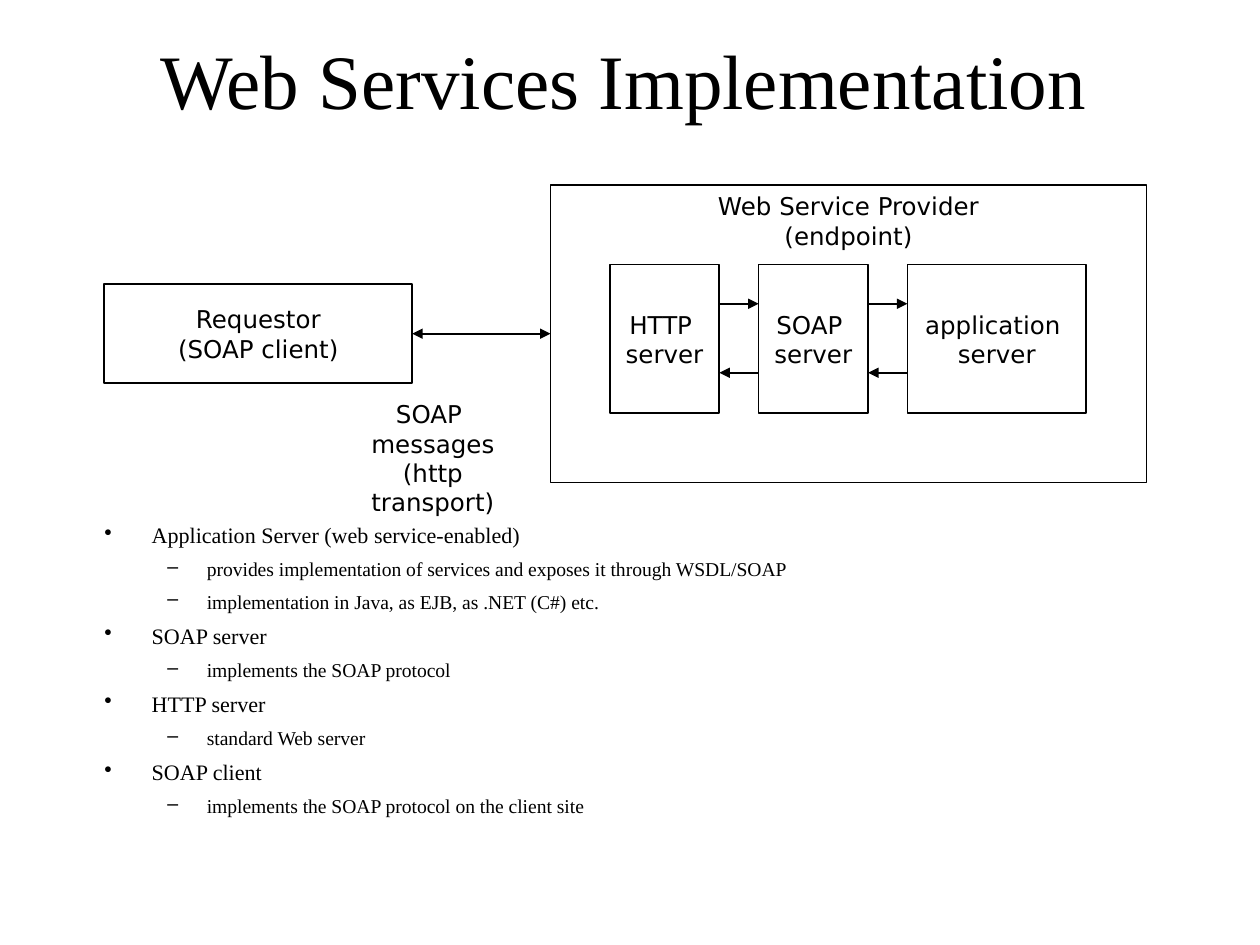
from dataclasses import dataclass

from lxml import etree
from pptx import Presentation
from pptx.dml.color import RGBColor
from pptx.enum.shapes import MSO_CONNECTOR, MSO_SHAPE
from pptx.enum.text import MSO_ANCHOR, MSO_AUTO_SIZE, PP_ALIGN
from pptx.oxml.ns import qn
from pptx.util import Pt

RECTANGLE = MSO_SHAPE.RECTANGLE
STRAIGHT = MSO_CONNECTOR.STRAIGHT
TOP, MIDDLE = MSO_ANCHOR.TOP, MSO_ANCHOR.MIDDLE
LEFT, CENTER = PP_ALIGN.LEFT, PP_ALIGN.CENTER
NO_AUTOFIT = MSO_AUTO_SIZE.NONE
LEFT_SIDE, RIGHT_SIDE = 1, 3

COLORS = {"ink": "000000"}
SERIF, SANS = "Times New Roman", "DejaVu Sans"
TITLE_FONT = {"name": SERIF, "size": Pt(44)}
LABEL_FONT = {"name": SANS, "size": Pt(14)}


@dataclass(frozen=True)
class Block:
    lines: tuple[str, ...]
    left: float
    top: float
    width: float
    height: float
    anchor: int = MIDDLE


@dataclass(frozen=True)
class BulletLevel:
    mark: str
    margin: float
    hanging: float
    size: float


BULLET_LEVELS = (
    BulletLevel("•", 27, 27, 12.6),
    BulletLevel("–", 58.5, 22.5, 11.2),
)
BULLET_SPACING = 5.2
BULLETS = (
    (0, "Application Server (web service-enabled)"),
    (1, "provides implementation of services and exposes it through WSDL/SOAP"),
    (1, "implementation in Java, as EJB, as .NET (C#) etc."),
    (0, "SOAP server"),
    (1, "implements the SOAP protocol"),
    (0, "HTTP server"),
    (1, "standard Web server"),
    (0, "SOAP client"),
    (1, "implements the SOAP protocol on the client site"),
)

REQUESTOR = Block(("Requestor", "(SOAP client)"), 59.6, 162.3, 176, 56.8)
PROVIDER = Block(("Web Service Provider", "(endpoint)"), 314.6, 105.7, 340.6, 170, TOP)
MESSAGES = Block(("SOAP ", "messages", "(http transport)"), 189.4, 224.6, 115.9, 76, TOP)

SERVERS = (
    (("HTTP ", "server"), 62.6),
    (("SOAP ", "server"), 62.6),
    (("application ", "server"), 102.2),
)
SERVER_LEFT, SERVER_TOP, SERVER_HEIGHT, SERVER_GAP = 348.5, 151.2, 85, 22.4
REQUEST_Y, REPLY_Y = 173.6, 213


def apply_format(target, values: dict) -> None:
    for name, value in values.items():
        setattr(target, name, value)


def write_line(para, text: str, font: dict, align=CENTER) -> None:
    para.alignment = align
    span = para.add_run()
    span.text = text
    apply_format(span.font, font)
    span.font.color.rgb = RGBColor.from_string(COLORS["ink"])


def paragraphs(frame, count: int) -> list:
    return [frame.paragraphs[0]] + [frame.add_paragraph() for _ in range(count - 1)]


def place(block: Block) -> tuple:
    return tuple(Pt(value) for value in (block.left, block.top, block.width, block.height))


def write_block(box, block: Block, wrap: bool) -> None:
    frame = box.text_frame
    apply_format(frame, {"word_wrap": wrap, "auto_size": NO_AUTOFIT, "vertical_anchor": block.anchor})
    for para, line in zip(paragraphs(frame, len(block.lines)), block.lines):
        write_line(para, line, LABEL_FONT)


def draw_line_style(line) -> None:
    line.color.rgb = RGBColor.from_string(COLORS["ink"])
    line.width = Pt(1)


def draw_box(page, block: Block):
    box = page.shapes.add_shape(RECTANGLE, *place(block))
    box.shadow.inherit = False
    box.fill.background()
    draw_line_style(box.line)
    write_block(box, block, wrap=False)
    return box


def draw_arrow(page, start_x: float, end_x: float, y: float, ends: tuple = ("tailEnd",)):
    arrow = page.shapes.add_connector(STRAIGHT, Pt(start_x), Pt(y), Pt(end_x), Pt(y))
    draw_line_style(arrow.line)
    properties = arrow._element.spPr
    outline = properties.find(qn("a:ln"))
    for end in ends:
        etree.SubElement(outline, qn(f"a:{end}"), type="triangle")
    etree.SubElement(properties, qn("a:effectLst"))
    return arrow


def draw_title(page, text: str) -> None:
    title = page.shapes.title
    apply_format(title, {"left": Pt(50.4), "top": Pt(0), "width": Pt(612), "height": Pt(90)})
    apply_format(title.text_frame, {"vertical_anchor": MIDDLE, "auto_size": NO_AUTOFIT, "word_wrap": True})
    write_line(title.text_frame.paragraphs[0], text, TITLE_FONT)


def draw_bullets(page) -> None:
    box = page.shapes.add_textbox(Pt(52.6), Pt(294.5), Pt(612), Pt(163.4))
    box.text_frame.word_wrap = True
    for index, (para, (depth, text)) in enumerate(zip(paragraphs(box.text_frame, len(BULLETS)), BULLETS)):
        level = BULLET_LEVELS[depth]
        para.level = depth
        properties = para._p.get_or_add_pPr()
        properties.set("marL", str(Pt(level.margin)))
        properties.set("indent", str(-Pt(level.hanging)))
        etree.SubElement(properties, qn("a:buChar"), char=level.mark)
        if index:
            para.space_before = Pt(BULLET_SPACING)
        write_line(para, text, {"name": SERIF, "size": Pt(level.size)}, LEFT)


def draw_servers(page) -> None:
    left = SERVER_LEFT
    for index, (lines, width) in enumerate(SERVERS):
        draw_box(page, Block(lines, left, SERVER_TOP, width, SERVER_HEIGHT))
        if index:
            draw_arrow(page, left - SERVER_GAP, left, REQUEST_Y)
            draw_arrow(page, left, left - SERVER_GAP, REPLY_Y)
        left += width + SERVER_GAP


def main() -> None:
    deck = Presentation()
    apply_format(deck, {"slide_width": Pt(720), "slide_height": Pt(540)})
    page = deck.slides.add_slide(deck.slide_layouts[5])
    draw_title(page, "Web Services Implementation")
    draw_bullets(page)
    requestor = draw_box(page, REQUESTOR)
    provider = draw_box(page, PROVIDER)
    draw_servers(page)
    link = draw_arrow(page, REQUESTOR.left + REQUESTOR.width, PROVIDER.left,
                      REQUESTOR.top + REQUESTOR.height / 2, ("headEnd", "tailEnd"))
    link.begin_connect(requestor, RIGHT_SIDE)
    link.end_connect(provider, LEFT_SIDE)
    write_block(page.shapes.add_textbox(*place(MESSAGES)), MESSAGES, wrap=True)
    deck.save("out.pptx")


if __name__ == "__main__":
    main()
